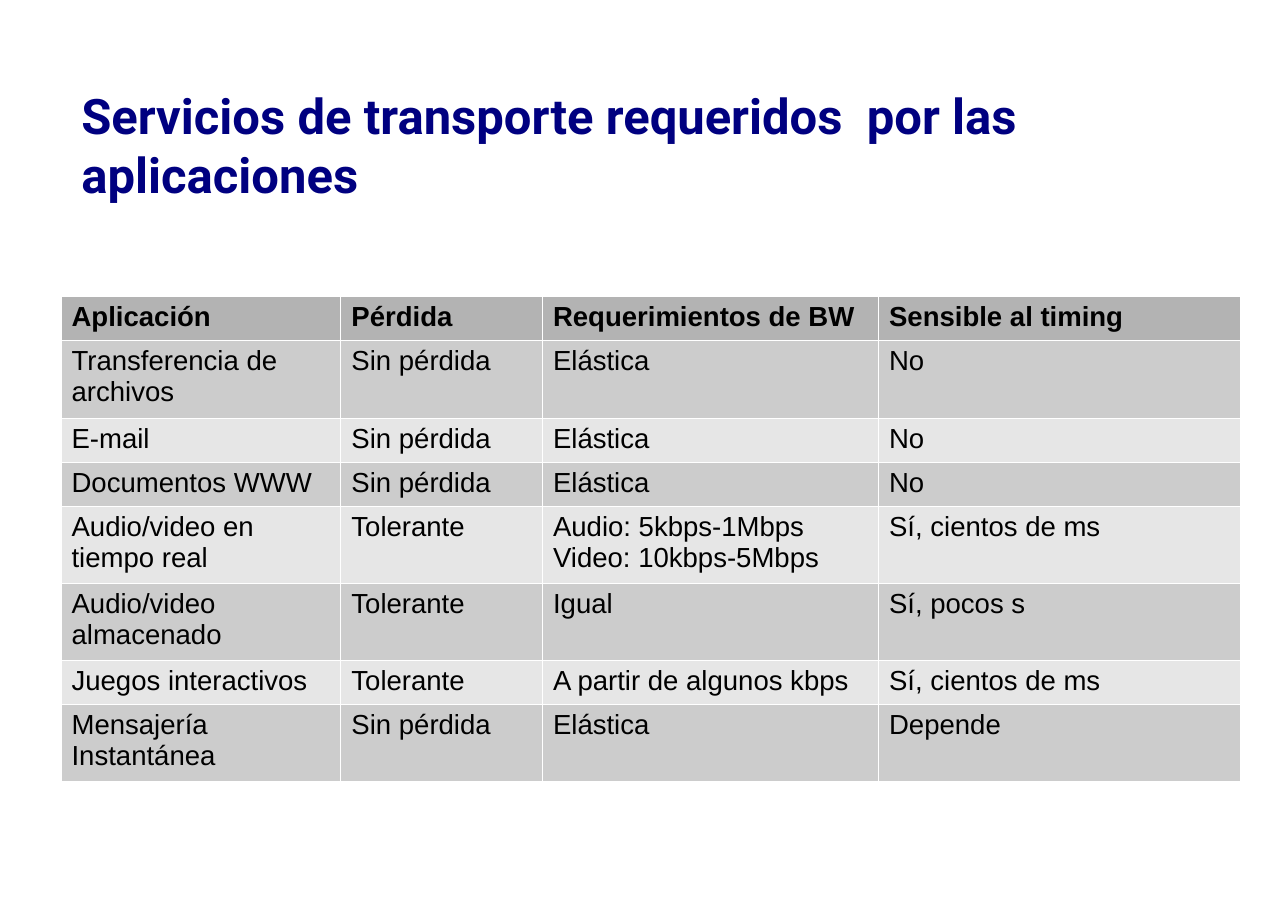
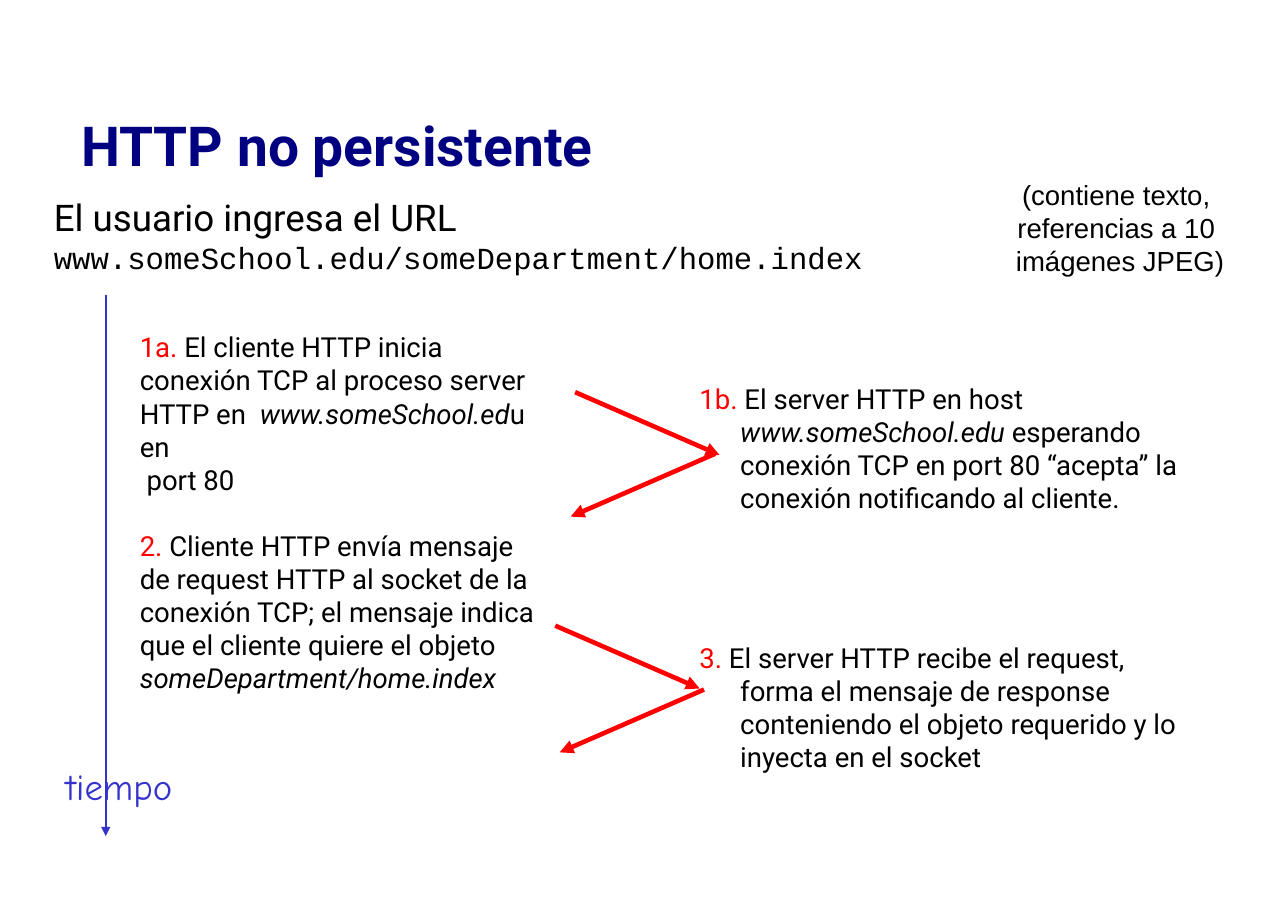
from dataclasses import dataclass
from typing import NamedTuple

from lxml import etree
from pptx import Presentation
from pptx.dml.color import RGBColor
from pptx.enum.text import MSO_ANCHOR, PP_ALIGN
from pptx.oxml.ns import qn
from pptx.util import Inches, Pt

LEFT = PP_ALIGN.LEFT
CENTER = PP_ALIGN.CENTER
TOP = MSO_ANCHOR.TOP
MIDDLE = MSO_ANCHOR.MIDDLE
STRAIGHT = 1
BLANK_LAYOUT = 6

BLACK, WHITE, NAVY = "000000", "FFFFFF", "000080"
RED, BLUE = "FF0000", "3333CC"
HEADER_GRAY, DARK_GRAY, LIGHT_GRAY = "B3B3B3", "CCCCCC", "E6E6E6"

SANS, BODY, MONO, HAND = "Arial", "Roboto", "Courier New", "Comic Neue"

ARROW_WIDTH, ARROW_HEIGHT = 1.31, 0.57
ONE_LINE, TWO_LINES = 0.4, 0.7


class Span(NamedTuple):
    text: str
    color: str | None = None
    italic: bool = False
    font: str | None = None
    size: float | None = None


@dataclass
class Para:
    spans: list[Span]
    before: float = 0
    hanging: float = 0


@dataclass
class TextBlock:
    left: float
    top: float
    width: float
    height: float
    paras: list[Para]
    font: str = BODY
    size: float = 18
    color: str = BLACK
    bold: bool = False
    align: PP_ALIGN = LEFT
    anchor: MSO_ANCHOR = TOP
    wrap: bool = True


@dataclass
class Arrow:
    left: float
    top: float
    width: float
    height: float
    color: str = RED
    weight: float = 3


COLUMN_WIDTHS = [2.54, 1.83, 3.05, 3.29]
SERVICES = [
    ["Aplicación", "Pérdida", "Requerimientos de BW", "Sensible al timing"],
    ["Transferencia de archivos", "Sin pérdida", "Elástica", "No"],
    ["E-mail", "Sin pérdida", "Elástica", "No"],
    ["Documentos WWW", "Sin pérdida", "Elástica", "No"],
    ["Audio/video en tiempo real", "Tolerante",
     "Audio: 5kbps-1Mbps\nVideo: 10kbps-5Mbps", "Sí, cientos de ms"],
    ["Audio/video almacenado", "Tolerante", "Igual", "Sí, pocos s"],
    ["Juegos interactivos", "Tolerante", "A partir de algunos kbps",
     "Sí, cientos de ms"],
    ["Mensajería Instantánea", "Sin pérdida", "Elástica", "Depende"],
]
TALL_ROWS = {1, 4, 5, 7}

CLIENT_STEPS = [
    Para([
        Span("1a.", RED),
        Span(" El cliente HTTP inicia conexión TCP al proceso server HTTP en  "),
        Span("www.someSchool.ed", italic=True),
        Span("u en\n port 80"),
    ]),
    Para([
        Span("2.", RED),
        Span(" Cliente HTTP envía mensaje de request HTTP al socket de la "
             "conexión TCP; el mensaje indica que el cliente quiere el objeto "),
        Span("someDepartment/home.index", italic=True),
    ], before=21.6),
]
SERVER_STEPS = [
    Para([
        Span("1b.", RED),
        Span(" El server HTTP en host "),
        Span("www.someSchool.edu", italic=True),
        Span(" esperando conexión TCP en port 80 “acepta” la conexión "
             "notificando al cliente."),
    ], hanging=0.37),
    Para([
        Span("3.", RED),
        Span(" El server HTTP recibe el request, forma el mensaje de response "
             "conteniendo el objeto requerido y lo inyecta en el socket"),
    ], before=82.5, hanging=0.37),
]
URL_TEXT = [
    Para([
        Span("El usuario ingresa el URL "),
        Span("www.someSchool.edu/someDepartment/home.index", font=MONO, size=20),
    ]),
]
PAGE_NOTE = [
    Para([Span(line)])
    for line in ("(contiene texto, ", "referencias a 10 ", "imágenes JPEG)")
]

HTTP_BLOCKS = [
    TextBlock(0.38, 6.88, 1.4, 0.49, [Para([Span("tiempo")])], font=HAND,
              size=24, color=BLUE, align=CENTER, wrap=False),
    TextBlock(1.17, 2.95, 3.91, 4.31, CLIENT_STEPS),
    TextBlock(6.25, 3.42, 4.55, 1.64, SERVER_STEPS),
    TextBlock(0.39, 1.72, 9.96, 0.84, URL_TEXT, size=24),
    TextBlock(9.12, 1.57, 2.09, 0.94, PAGE_NOTE, font=SANS, align=CENTER,
              wrap=False),
]
TIME_AXIS = Arrow(0.96, 2.68, 0, 4.91, BLUE, 1.5)
MESSAGES = [
    Arrow(5.22, 3.56, ARROW_WIDTH, ARROW_HEIGHT),
    Arrow(5.04, 5.68, ARROW_WIDTH, ARROW_HEIGHT),
    Arrow(6.39, 6.26, -ARROW_WIDTH, ARROW_HEIGHT),
    Arrow(6.49, 4.12, -ARROW_WIDTH, ARROW_HEIGHT),
]


def rgb(color: str) -> RGBColor:
    return RGBColor.from_string(color)


def style_font(font, name: str, size: float, color: str, bold: bool) -> None:
    font.name = name
    font.size = Pt(size)
    font.color.rgb = rgb(color)
    font.bold = bold


def add_span(para, span: Span) -> None:
    for index, line in enumerate(span.text.split("\n")):
        if index:
            para.add_line_break()
        run = para.add_run()
        run.text = line
        if span.color:
            run.font.color.rgb = rgb(span.color)
        if span.italic:
            run.font.italic = True
        if span.font:
            run.font.name = span.font
        if span.size:
            run.font.size = Pt(span.size)


def add_text(page, block: TextBlock) -> None:
    box = page.shapes.add_textbox(Inches(block.left), Inches(block.top),
                                  Inches(block.width), Inches(block.height))
    frame = box.text_frame
    frame.word_wrap = block.wrap
    frame.vertical_anchor = block.anchor
    for index, content in enumerate(block.paras):
        para = frame.add_paragraph() if index else frame.paragraphs[0]
        para.alignment = block.align
        if content.before:
            para.space_before = Pt(content.before)
        if content.hanging:
            properties = para._p.get_or_add_pPr()
            properties.set("marL", str(Inches(content.hanging)))
            properties.set("indent", str(-Inches(content.hanging)))
        style_font(para.font, block.font, block.size, block.color, block.bold)
        for span in content.spans:
            add_span(para, span)


def add_title(page, text: str, size: float) -> None:
    add_text(page, TextBlock(0.64, 0.59, 10.5, 1.44, [Para([Span(text)])],
                             size=size, color=NAVY, bold=True, anchor=MIDDLE))


def add_arrow(page, arrow: Arrow) -> None:
    connector = page.shapes.add_connector(
        STRAIGHT, Inches(arrow.left), Inches(arrow.top),
        Inches(arrow.left + arrow.width), Inches(arrow.top + arrow.height))
    connector.line.color.rgb = rgb(arrow.color)
    connector.line.width = Pt(arrow.weight)
    properties = connector.element.spPr
    etree.SubElement(properties.find(qn("a:ln")), qn("a:tailEnd"), type="triangle")
    etree.SubElement(properties, qn("a:effectLst"))


def add_borders(cell) -> None:
    properties = cell._tc.get_or_add_tcPr()
    for side in ("lnL", "lnR", "lnT", "lnB"):
        line = etree.SubElement(properties, qn(f"a:{side}"), w=str(Pt(0.06)))
        fill = etree.SubElement(line, qn("a:solidFill"))
        etree.SubElement(fill, qn("a:srgbClr"), val=WHITE)


def row_color(row: int) -> str:
    if row == 0:
        return HEADER_GRAY
    return DARK_GRAY if row % 2 else LIGHT_GRAY


def add_services_table(page) -> None:
    heights = [TWO_LINES if row in TALL_ROWS else ONE_LINE
               for row in range(len(SERVICES))]
    table = page.shapes.add_table(
        len(SERVICES), len(COLUMN_WIDTHS), Inches(0.55), Inches(2.69),
        Inches(sum(COLUMN_WIDTHS)), Inches(sum(heights))).table
    table.first_row = False
    table.horz_banding = False
    for column, width in zip(table.columns, COLUMN_WIDTHS):
        column.width = Inches(width)
    for row, values in enumerate(SERVICES):
        table.rows[row].height = Inches(heights[row])
        for column, value in enumerate(values):
            cell = table.cell(row, column)
            add_borders(cell)
            cell.fill.solid()
            cell.fill.fore_color.rgb = rgb(row_color(row))
            cell.text = value
            for para in cell.text_frame.paragraphs:
                style_font(para.font, SANS, 18, BLACK, row == 0)


def build_services(page) -> None:
    add_title(page, "Servicios de transporte requeridos  por las aplicaciones", 32)
    add_services_table(page)


def build_http(page) -> None:
    add_arrow(page, TIME_AXIS)
    add_title(page, "HTTP no persistente", 36)
    for block in HTTP_BLOCKS:
        add_text(page, block)
    for message in MESSAGES:
        add_arrow(page, message)


def main() -> None:
    deck = Presentation()
    deck.slide_width = Inches(11.69)
    deck.slide_height = Inches(8.27)
    for build in (build_services, build_http):
        build(deck.slides.add_slide(deck.slide_layouts[BLANK_LAYOUT]))
    deck.save("out.pptx")


if __name__ == "__main__":
    main()
